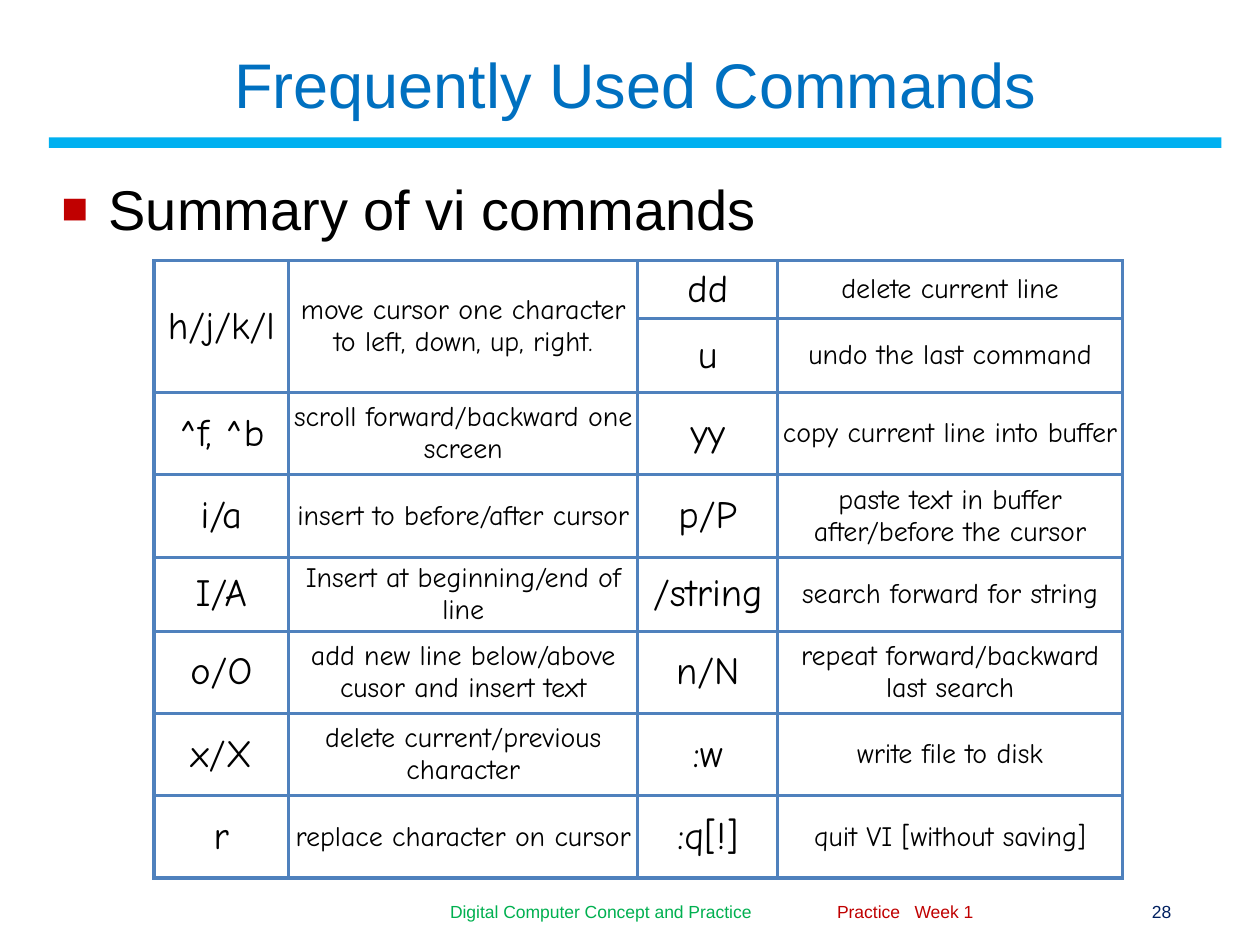
from dataclasses import dataclass

from lxml.etree import SubElement
from pptx import Presentation
from pptx.dml.color import RGBColor
from pptx.enum.shapes import MSO_SHAPE
from pptx.enum.text import MSO_ANCHOR, MSO_AUTO_SIZE, PP_ALIGN
from pptx.oxml.ns import qn
from pptx.util import Pt


@dataclass(frozen=True)
class Theme:
    font: str = "Arial"
    hand: str = "Comic Neue"
    title: str = "0070C0"
    bar: str = "00B0F0"
    ink: str = "000000"
    red: str = "C00000"
    green: str = "00B050"
    navy: str = "002060"
    grid: str = "4F81BD"
    head: int = 36
    body: int = 32
    key: int = 22
    note: int = 16
    foot: int = 10


THEME = Theme()
LEFT, WIDE = 28, 670
COLS = [77, 199.5, 80, 197]
ROWS = [33, 40.5, 47, 47, 40, 47, 47, 47]
CELLS = [
    ("h/j/k/l", "move cursor one character to left, down, up, right.",
     "dd", "delete current line"),
    ("", "", "u", "undo the last command"),
    ("^f, ^b", "scroll forward/backward one screen",
     "yy", "copy current line into buffer"),
    ("i/a", "insert to before/after cursor",
     "p/P", "paste text in buffer after/before the cursor"),
    ("I/A", "Insert at beginning/end of line",
     "/string", "search forward for string"),
    ("o/O", "add new line below/above cusor and insert text",
     "n/N", "repeat forward/backward last search"),
    ("x/X", "delete current/previous character",
     ":w", "write file to disk"),
    ("r", "replace character on cursor",
     ":q[!]", "quit VI [without saving]"),
]


def color(code):
    return RGBColor.from_string(code)


def place(shape, left, top, width, height):
    shape.left, shape.top = Pt(left), Pt(top)
    shape.width, shape.height = Pt(width), Pt(height)


def add_run(para, text, size, ink, font=THEME.font):
    run = para.add_run()
    run.text = text
    run.font.size = Pt(size)
    run.font.name = font
    run.font.color.rgb = color(ink)


def add_title(slide, text):
    shape = slide.shapes.title
    place(shape, LEFT, 21.5, WIDE, 52)
    frame = shape.text_frame
    frame.auto_size = MSO_AUTO_SIZE.NONE
    frame.vertical_anchor = MSO_ANCHOR.MIDDLE
    para = frame.paragraphs[0]
    para.alignment = PP_ALIGN.CENTER
    add_run(para, text, THEME.head, THEME.title)


def add_bar(slide):
    bar = slide.shapes.add_shape(
        MSO_SHAPE.RECTANGLE, Pt(LEFT), Pt(78.5), Pt(WIDE), Pt(6))
    bar.shadow.inherit = False
    bar.fill.solid()
    bar.fill.fore_color.rgb = color(THEME.bar)
    bar.line.fill.background()


def add_box(slide, left, top, width, height):
    box = slide.shapes.add_textbox(Pt(left), Pt(top), Pt(width), Pt(height))
    box.text_frame.word_wrap = True
    return box.text_frame


def add_foot(slide, text, left, width, ink):
    frame = add_box(slide, left, 512, width, 17.5)
    frame.vertical_anchor = MSO_ANCHOR.MIDDLE
    para = frame.paragraphs[0]
    para.alignment = PP_ALIGN.CENTER
    add_run(para, text, THEME.foot, ink)


def add_point(slide, text):
    """Add a line of body text with a square bullet."""
    para = add_box(slide, LEFT, 96, WIDE, 50).paragraphs[0]
    para.space_before = Pt(4)
    props = para._p.get_or_add_pPr()
    props.set("marL", str(Pt(27)))
    props.set("indent", str(Pt(-27)))
    tint = SubElement(props, qn("a:buClr"))
    SubElement(tint, qn("a:srgbClr"), val=THEME.red)
    SubElement(props, qn("a:buSzPct"), val="80000")
    SubElement(props, qn("a:buFont"), typeface=THEME.font)
    SubElement(props, qn("a:buChar"), char="■")
    add_run(para, text, THEME.body, THEME.ink)


def add_edges(cell):
    props = cell._tc.get_or_add_tcPr()
    for index, side in enumerate(("lnL", "lnR", "lnT", "lnB")):
        line = props.makeelement(qn(f"a:{side}"), {"w": str(Pt(2))})
        fill = SubElement(line, qn("a:solidFill"))
        SubElement(fill, qn("a:srgbClr"), val=THEME.grid)
        props.insert(index, line)


def fill_cell(cell, text, size):
    cell.margin_left = cell.margin_right = Pt(2)
    cell.margin_top = cell.margin_bottom = Pt(2)
    cell.vertical_anchor = MSO_ANCHOR.MIDDLE
    cell.fill.background()
    add_edges(cell)
    if text:
        para = cell.text_frame.paragraphs[0]
        para.alignment = PP_ALIGN.CENTER
        add_run(para, text, size, THEME.ink, THEME.hand)


def add_grid(slide):
    table = slide.shapes.add_table(
        len(ROWS), len(COLS), Pt(88), Pt(149),
        Pt(sum(COLS)), Pt(sum(ROWS))).table
    table.first_row = table.horz_banding = False
    for col, width in zip(table.columns, COLS):
        col.width = Pt(width)
    for row, height in zip(table.rows, ROWS):
        row.height = Pt(height)
    for row, texts in enumerate(CELLS):
        for col, text in enumerate(texts):
            size = THEME.note if col % 2 else THEME.key
            fill_cell(table.cell(row, col), text, size)
    for col in range(2):
        table.cell(0, col).merge(table.cell(1, col))


def main():
    deck = Presentation()
    deck.slide_width, deck.slide_height = Pt(720), Pt(540)
    slide = deck.slides.add_slide(deck.slide_layouts[5])
    add_foot(slide, "Practice   Week 1", 466.5, 101.5, THEME.red)
    add_foot(slide, "Digital Computer Concept and Practice",
             219.5, 247.5, THEME.green)
    add_foot(slide, "28", 630, 67.5, THEME.navy)
    add_bar(slide)
    add_title(slide, "Frequently Used Commands")
    add_point(slide, "Summary of vi commands")
    add_grid(slide)
    deck.save("out.pptx")


if __name__ == "__main__":
    main()
